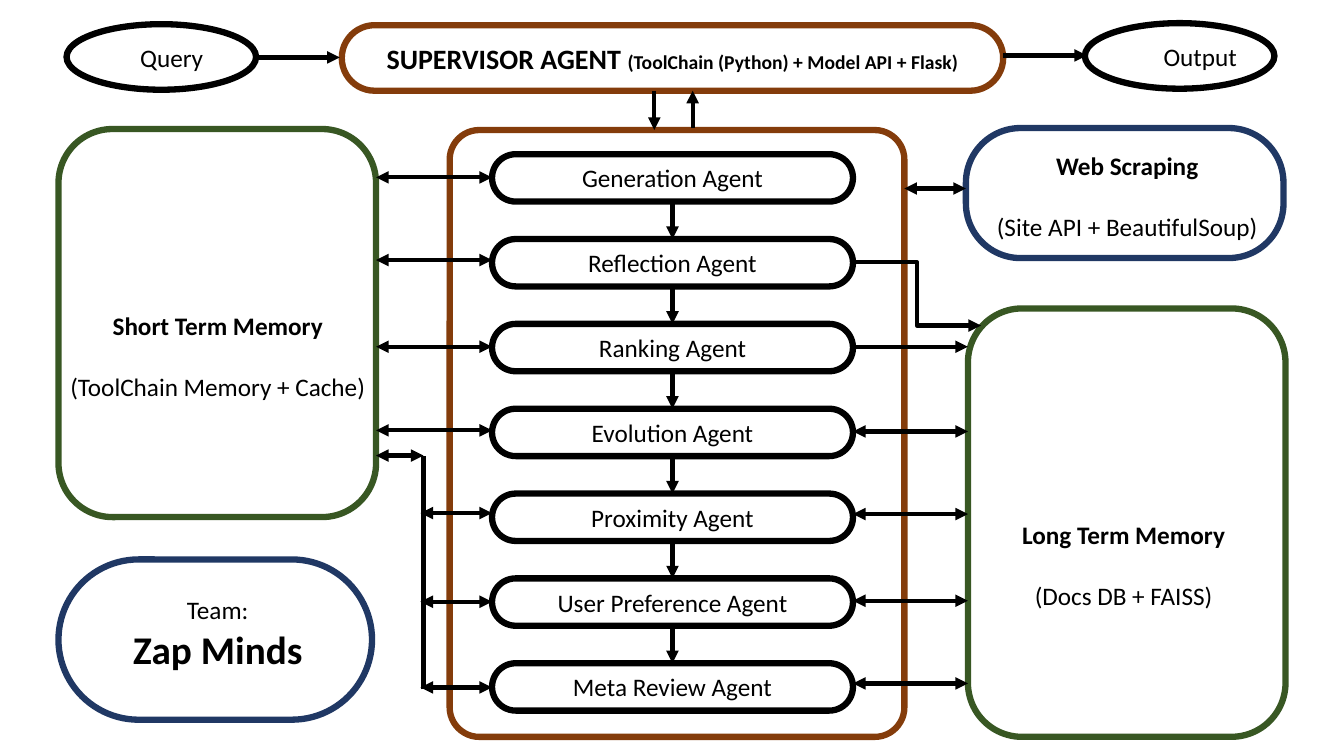
from pptx import Presentation
from pptx.dml.color import RGBColor
from pptx.enum.shapes import MSO_CONNECTOR, MSO_SHAPE
from pptx.enum.text import MSO_ANCHOR, PP_ALIGN
from pptx.oxml.ns import qn
from pptx.util import Inches, Pt
from lxml import etree

ROUNDED, OVAL = MSO_SHAPE.ROUNDED_RECTANGLE, MSO_SHAPE.OVAL
STRAIGHT, ELBOW = MSO_CONNECTOR.STRAIGHT, MSO_CONNECTOR.ELBOW
LEFT, CENTER = PP_ALIGN.LEFT, PP_ALIGN.CENTER
MIDDLE = MSO_ANCHOR.MIDDLE
BLACK = RGBColor(0x00, 0x00, 0x00)
WHITE = RGBColor(0xFF, 0xFF, 0xFF)
BROWN = RGBColor(0x84, 0x3C, 0x0B)
GREEN = RGBColor(0x38, 0x57, 0x23)
NAVY = RGBColor(0x20, 0x38, 0x64)

MEMORY_LEFT, MEMORY_RIGHT = 0.58, 3.73
BUS = 4.2
AGENT_LEFT, AGENT_RIGHT = 4.88, 8.46
STORE_LEFT = 9.6
COLUMN = 3.15
AGENT_TOP, AGENT_HEIGHT = 1.53, 0.47
AGENT_PITCH = 5.05 / 6
SITE_TOP, SITE_BOTTOM = 0, 2

deck = Presentation()
deck.slide_width, deck.slide_height = Inches(13.33), Inches(7.5)
page = deck.slides.add_slide(deck.slide_layouts[6])


def write(box, lines, align=CENTER, gap=0):
    frame = box.text_frame
    frame.word_wrap = True
    frame.margin_left = frame.margin_right = 0
    for index, spans in enumerate(lines):
        para = frame.paragraphs[0] if index == 0 else frame.add_paragraph()
        para.alignment = align
        if index:
            para.space_before = Pt(gap)
        for text, size, bold in spans:
            span = para.add_run()
            span.text = text
            span.font.name = "Calibri"
            span.font.size = Pt(size)
            span.font.bold = bold
            span.font.color.rgb = BLACK


def link(start, end, ends="tail", kind=STRAIGHT):
    line = page.shapes.add_connector(kind, *map(Inches, start + end))
    line.line.color.rgb = BLACK
    line.line.width = Pt(3)
    outline = line.line._get_or_add_ln()
    for side in ends.split():
        etree.SubElement(outline, qn(f"a:{side}End"), type="triangle")
    etree.SubElement(line._element.spPr, qn("a:effectLst"))
    return line


agent_names = ["Generation", "Reflection", "Ranking", "Evolution",
               "Proximity", "User Preference", "Meta Review"]
supervisor_spans = [("SUPERVISOR AGENT ", 20, True),
                    ("(ToolChain (Python) + Model API + Flask)", 14, True)]
panels = [
    (ROUNDED, 3.39, 0.25, 6.56, 0.65, 0.5, BROWN, supervisor_spans),
    (ROUNDED, 4.46, 1.29, 4.51, 6.02, 0.065, BROWN, []),
    (ROUNDED, MEMORY_LEFT, 1.28, COLUMN, 3.85, 0.17, GREEN, []),
    (ROUNDED, STORE_LEFT, 3.06, COLUMN, 4.25, 0.17, GREEN, []),
    (ROUNDED, 9.58, 1.27, COLUMN, 1.29, 0.42, NAVY, []),
    (ROUNDED, MEMORY_LEFT, 5.55, 3.11, 1.59, 0.5, NAVY, []),
    (OVAL, 0.66, 0.24, 1.88, 0.65, None, BLACK, []),
    (OVAL, 10.76, 0.23, 1.88, 0.65, None, BLACK, []),
]
for row, name in enumerate(agent_names):
    panels.append((ROUNDED, AGENT_LEFT, AGENT_TOP + row * AGENT_PITCH,
                   AGENT_RIGHT - AGENT_LEFT, AGENT_HEIGHT, 0.5, BLACK,
                   [(f"{name} Agent", 18, False)]))

drawn = []
for kind, left, top, width, height, corner, color, spans in panels:
    panel = page.shapes.add_shape(kind, *map(Inches, (left, top, width, height)))
    panel.shadow.inherit = False
    if corner is not None:
        panel.adjustments[0] = corner
    panel.line.color.rgb = color
    panel.line.width = Pt(4.5)
    if spans:
        panel.fill.solid()
        panel.fill.fore_color.rgb = WHITE
        panel.text_frame.vertical_anchor = MIDDLE
        write(panel, [spans])
    else:
        panel.fill.background()
    drawn.append(panel)
agents = drawn[-len(agent_names):]

captions = [
    (0.59, 3.03, 3.14, 1.01, CENTER, 22,
     [("Short Term Memory", 18, True), ("(ToolChain Memory + Cache)", 18, False)]),
    (10.03, 5.1, 2.23, 1.01, CENTER, 22,
     [("Long Term Memory", 18, True), ("(Docs DB + FAISS)", 18, False)]),
    (9.73, 1.44, 2.9, 1.01, CENTER, 22,
     [("Web Scraping", 18, True), ("(Site API + BeautifulSoup)", 18, False)]),
    (1.21, 5.85, 1.9, 0.88, CENTER, 0,
     [("Team:", 18, False), ("Zap Minds", 28, True)]),
    (1.39, 0.37, 1.25, 0.4, LEFT, 0, [("Query", 18, False)]),
    (11.54, 0.36, 1.25, 0.4, LEFT, 0, [("Output", 18, False)]),
]
for left, top, width, height, align, gap, lines in captions:
    caption = page.shapes.add_textbox(*map(Inches, (left, top, width, height)))
    write(caption, [[line] for line in lines], align, gap)

for upper, lower in zip(agents, agents[1:]):
    step = link((0, 0), (0, 0))
    step.begin_connect(upper, SITE_BOTTOM)
    step.end_connect(lower, SITE_TOP)

for level in (1.76, 2.58, 3.44, 4.27):
    link((MEMORY_RIGHT, level), (AGENT_LEFT, level), "head tail")
for level in (5.09, 5.97, 6.82):
    link((BUS - 0.03, level), (AGENT_LEFT, level), "head tail")
for level in (4.28, 5.1, 5.96, 6.78):
    link((AGENT_RIGHT, level), (STORE_LEFT, level), "head tail")
link((BUS, 6.84), (BUS, 4.52), "")
link((MEMORY_RIGHT, 4.52), (BUS, 4.52), "head tail")
link((8.97, 1.87), (9.58, 1.87), "head tail")

link((AGENT_RIGHT, 3.44), (STORE_LEFT, 3.44))
link((AGENT_RIGHT, 2.6), (9.73, 3.23), kind=ELBOW)
link((6.49, 0.9), (6.49, 1.29))
link((6.87, 1.27), (6.87, 0.9))
link((2.53, 0.57), (3.37, 0.57))
link((9.95, 0.55), (10.78, 0.55))

deck.save("out.pptx")
